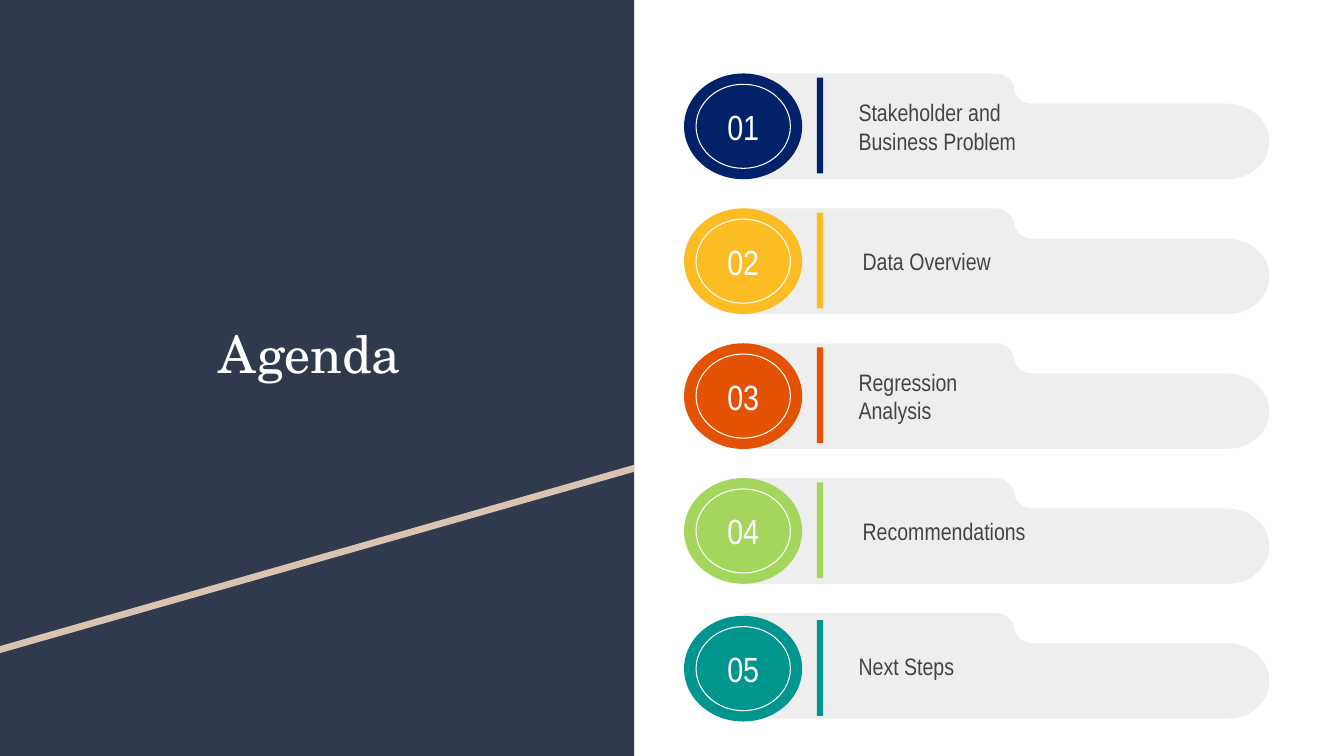
from pptx import Presentation
from pptx.dml.color import RGBColor
from pptx.enum.shapes import MSO_SHAPE
from pptx.enum.text import MSO_ANCHOR, PP_ALIGN
from pptx.util import Pt

OVAL, RECT = MSO_SHAPE.OVAL, MSO_SHAPE.RECTANGLE
TOP, MIDDLE = MSO_ANCHOR.TOP, MSO_ANCHOR.MIDDLE
LEFT, CENTER = PP_ALIGN.LEFT, PP_ALIGN.CENTER

SANS, SERIF = "Arial Narrow", "TeX Gyre Schola"
WHITE, NAVY, SAND, PALE, GREY = "FFFFFF", "31394D", "D9C4B1", "EEEEEE", "434343"
PANEL = 453
FIRST, PITCH = 52.5, 96.35
TAB_X = 530.8
STEPS = 12

ROWS = [
    ("Stakeholder and Business Problem", "012169", 606.2, 161.3, 0),
    ("Data Overview", "FCBD24", 609.1, 177.1, 0),
    ("Regression Analysis", "E35205", 606.2, 122.4, 0),
    ("Recommendations", "A4D65E", 609.1, 144.7, 0),
    ("Next Steps", "00968F", 606.2, 136.1, 2),
]

TAB = [
    [(0, 75.5)],
    [(345.6, 75.5)],
    [(363, 75.5), (375.9, 63.2), (375.9, 48.6)],
    [(375.9, 33.8), (363, 21.6), (345.6, 21.6)],
    [(207.4, 21.6)],
    [(200, 21.6), (194.4, 17.3), (193.7, 10.8)],
    [(193, 5), (187.2, 0), (180, 0)],
]


def color(code):
    return RGBColor.from_string(code)


def paint(shape, fill=None, line=None):
    shape.shadow.inherit = False
    if fill:
        shape.fill.solid()
        shape.fill.fore_color.rgb = color(fill)
    else:
        shape.fill.background()
    if line:
        shape.line.color.rgb = color(line)
        shape.line.width = Pt(0.75)
    else:
        shape.line.fill.background()


def write(shape, text, font, size, ink, inset, align=LEFT, anchor=MIDDLE, wrap=True):
    frame = shape.text_frame
    frame.word_wrap = wrap
    frame.vertical_anchor = anchor
    frame.margin_left = frame.margin_right = Pt(inset)
    frame.margin_top = frame.margin_bottom = Pt(inset)
    frame.text = text
    para = frame.paragraphs[0]
    para.alignment = align
    para.font.name = font
    para.font.size = Pt(size)
    para.font.bold = False
    para.font.color.rgb = color(ink)


def block(shapes, kind, box, fill=None, line=None):
    shape = shapes.add_shape(kind, *map(Pt, box))
    paint(shape, fill, line)
    return shape


def outline(shapes, points, fill):
    spots = [(Pt(x), Pt(y)) for x, y in points]
    maker = shapes.build_freeform(*spots[0])
    maker.add_line_segments(spots[1:], close=True)
    paint(maker.convert_to_shape(), fill)


def bend(a, b, c, d):
    for step in range(1, STEPS + 1):
        t = step / STEPS
        u = 1 - t
        yield tuple(
            u**3 * p + 3 * u * u * t * q + 3 * u * t * t * r + t**3 * s
            for p, q, r, s in zip(a, b, c, d)
        )


def trace(parts):
    points = [(0, 0)]
    for part in parts:
        points += bend(points[-1], *part) if len(part) == 3 else part
    return points


def add_row(slide, top, number, label, tint, left, width, drop):
    shapes = slide.shapes.add_group_shape().shapes
    outline(shapes, [(TAB_X + x, top + y) for x, y in trace(TAB)], PALE)
    badge = top + drop
    block(shapes, OVAL, (488.6, badge, 84.4, 75.5), tint)
    block(shapes, RECT, (583.5, badge + 3, 4.4, 68.4), tint)
    box = shapes.add_textbox(Pt(left), Pt(top + 20.9), Pt(width), Pt(33.8))
    write(box, label, SANS, 17, GREY, 7.2)
    ring = block(shapes, OVAL, (497.2, badge + 7.7, 67.4, 60), line=WHITE)
    write(ring, f"{number:02}", SANS, 25, WHITE, 0, CENTER, wrap=False)


def add_panel(slide):
    shapes = slide.shapes
    block(shapes, RECT, (0, 0, PANEL, 540), NAVY)
    outline(shapes, [(0, 461.5), (PANEL, 332), (PANEL, 337), (0, 466.5)], SAND)
    title = shapes.title
    title.left, title.top, title.width, title.height = map(Pt, (146.9, 220.3, 190.8, 85.7))
    write(title, "Agenda", SERIF, 37, WHITE, 9.4, anchor=TOP)
    shapes._spTree.append(title._element)


def main():
    deck = Presentation()
    deck.slide_width, deck.slide_height = Pt(960), Pt(540)
    slide = deck.slides.add_slide(deck.slide_layouts[5])
    add_panel(slide)
    for index, row in enumerate(ROWS):
        add_row(slide, FIRST + index * PITCH, index + 1, *row)
    deck.save("out.pptx")


if __name__ == "__main__":
    main()
